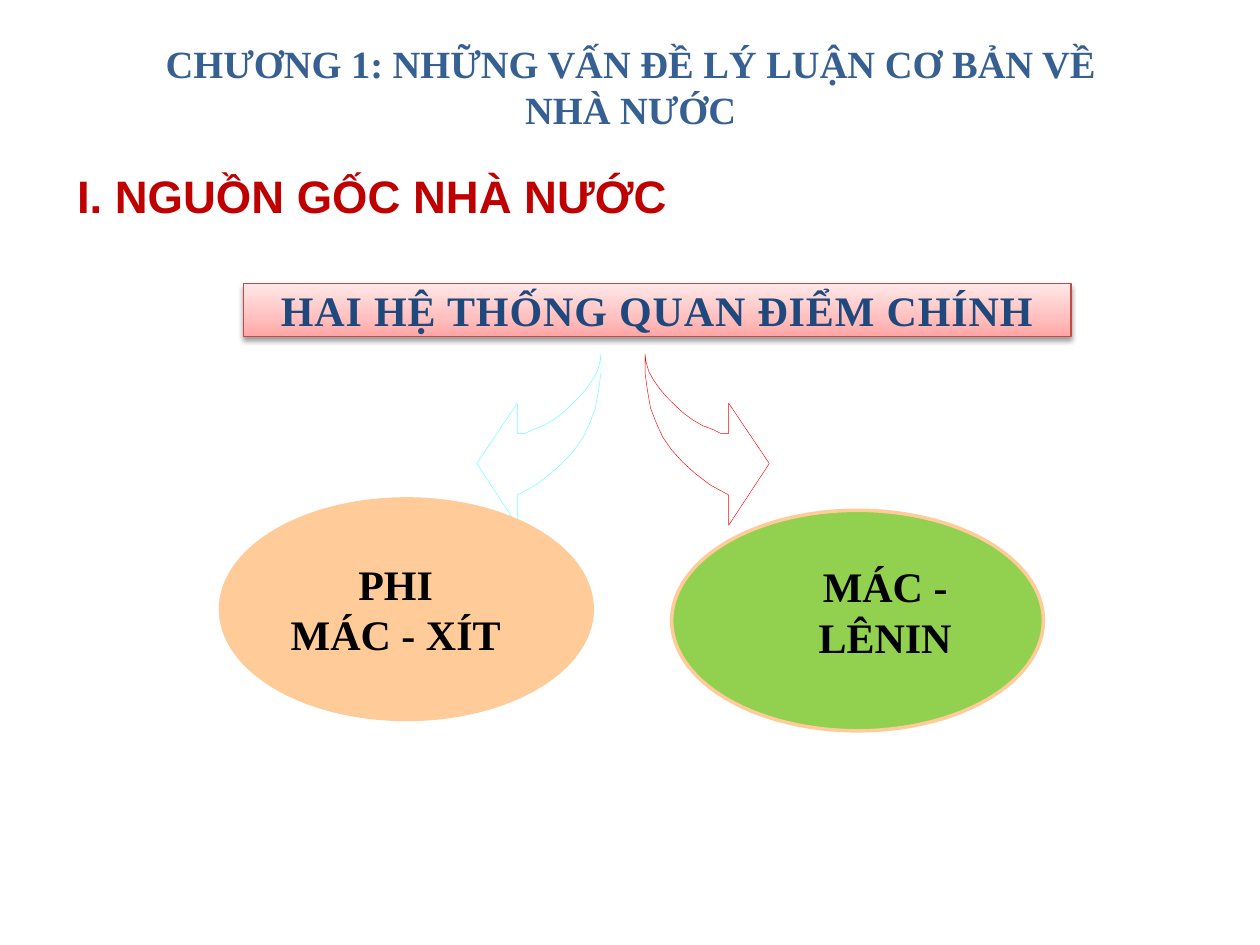
from lxml import etree
from pptx import Presentation
from pptx.dml.color import RGBColor
from pptx.enum import shapes, text
from pptx.oxml import ns
from pptx.util import Pt

COLORS = {
    "title": "376092", "heading": "C00000", "banner_text": "1F497D",
    "banner_line": "BF4C48", "black": "000000", "peach": "FFCC99",
    "green": "92D050", "cyan": "66FFFF", "red": "FF0000",
}
BANNER_STOPS = [(0, "FFA6A5"), (35, "FFC0BF"), (100, "FFE7E7")]
SERIF = "Times New Roman"

# Curved arrow outline, as offsets from its tail
ARROW_OUTLINE = [
    (0, 0), (0, 10.8), (1.4, 20.9), (3.2, 31), (6.5, 39.6), (10.1, 47.5),
    (15.1, 54.7), (21.6, 61.9), (28.8, 68.4), (37.4, 74.9), (47.8, 80.6),
    (47.8, 97.9), (71, 62.6), (47.8, 28.1), (47.8, 45.4), (43.2, 45.4),
    (38.9, 43.2), (33.1, 41), (28.1, 38.2), (23, 34.6), (18, 30.2),
    (13, 25.2), (8.6, 20.2), (5, 15.1), (2.2, 10.1), (0.7, 5),
]


def rgb(name):
    return RGBColor.from_string(COLORS[name])


def write_text(shape, lines, size, color, font=SERIF, anchor=text.MSO_ANCHOR.TOP,
               margins=(7.2, 3.6, 7.2, 3.6), grow=True, spacing=0):
    """Fill the shape with bold centred lines; margins run left, top, right, bottom."""
    frame = shape.text_frame
    frame.word_wrap = True
    frame.vertical_anchor = anchor
    frame.auto_size = (text.MSO_AUTO_SIZE.SHAPE_TO_FIT_TEXT if grow
                       else text.MSO_AUTO_SIZE.NONE)
    (frame.margin_left, frame.margin_top,
     frame.margin_right, frame.margin_bottom) = map(Pt, margins)
    for index, line in enumerate(lines):
        paragraph = frame.paragraphs[0] if index == 0 else frame.add_paragraph()
        paragraph.alignment = text.PP_ALIGN.CENTER
        run = paragraph.add_run()
        run.text = line
        run.font.name = font
        run.font.size = Pt(size)
        run.font.bold = True
        run.font.color.rgb = rgb(color)
        if spacing:
            run.font._element.set("spc", str(round(spacing * 100)))


def add_label(slide, box, lines, size, color, **style):
    label = slide.shapes.add_textbox(*map(Pt, box))
    write_text(label, lines, size, color, **style)


def add_preset(slide, kind, box, line, width):
    preset = slide.shapes.add_shape(kind, *map(Pt, box))
    preset.shadow.inherit = False
    preset.line.color.rgb = rgb(line)
    preset.line.width = Pt(width)
    return preset


def add_banner(slide, box, title):
    banner = add_preset(slide, shapes.MSO_SHAPE.RECTANGLE, box, "banner_line", 0.75)
    banner.fill.gradient()
    banner.fill.gradient_angle = 90
    properties = banner._element.spPr
    stops = properties.find(".//" + ns.qn("a:gsLst"))
    for stop in list(stops):
        stops.remove(stop)
    for position, color in BANNER_STOPS:
        stop = etree.SubElement(stops, ns.qn("a:gs"), pos=str(position * 1000))
        etree.SubElement(stop, ns.qn("a:srgbClr"), val=color)
    shadow = etree.SubElement(
        properties.find(ns.qn("a:effectLst")), ns.qn("a:outerShdw"),
        blurRad=str(Pt(3.1)), dist=str(Pt(1.6)), dir="5400000", rotWithShape="0")
    shade = etree.SubElement(shadow, ns.qn("a:srgbClr"), val=COLORS["black"])
    etree.SubElement(shade, ns.qn("a:alpha"), val="38000")
    write_text(banner, [title], 24, "banner_text", margins=(0, 0.7, 0, 0), spacing=0.5)


def add_curved_arrow(slide, tail_x, tail_y, direction, color):
    """Draw the arrow to the right (direction 1) or mirrored to the left (-1)."""
    points = [(Pt(tail_x + direction * x), Pt(tail_y + y)) for x, y in ARROW_OUTLINE]
    builder = slide.shapes.build_freeform(*points[0])
    builder.add_line_segments(points[1:], close=True)
    arrow = builder.convert_to_shape()
    arrow.shadow.inherit = False
    arrow.fill.background()
    arrow.line.color.rgb = rgb(color)
    arrow.line.width = Pt(0.25)


def add_ellipse(slide, left, top, fill):
    ellipse = add_preset(slide, shapes.MSO_SHAPE.OVAL, (left, top, 212.4, 126), "peach", 2)
    ellipse.fill.solid()
    ellipse.fill.fore_color.rgb = rgb(fill)


def main():
    deck = Presentation()
    deck.slide_width, deck.slide_height = Pt(720), Pt(540)
    slide = deck.slides.add_slide(deck.slide_layouts[6])

    add_label(slide, (72, 0, 576.7, 82.8),
              ["CHƯƠNG 1: NHỮNG VẤN ĐỀ LÝ LUẬN CƠ BẢN VỀ NHÀ NƯỚC"], 22, "title",
              anchor=text.MSO_ANCHOR.BOTTOM, margins=(7.2,) * 4, grow=False)
    add_label(slide, (24.5, 95, 376.6, 32.4), ["I. NGUỒN GỐC NHÀ NƯỚC"], 26, "heading",
              font="Arial", anchor=text.MSO_ANCHOR.BOTTOM, margins=(0, 0.7, 0, 0))
    add_banner(slide, (139, 162, 473, 30.2), "HAI HỆ THỐNG QUAN ĐIỂM CHÍNH")

    add_curved_arrow(slide, 343.4, 202.3, -1, "cyan")
    add_curved_arrow(slide, 368.6, 202.3, 1, "red")

    add_ellipse(slide, 126, 285.1, "peach")
    add_label(slide, (154.1, 315.4, 144, 65.5), ["PHI", "MÁC - XÍT"], 24, "black")
    add_ellipse(slide, 383.8, 291.6, "green")
    add_label(slide, (429.1, 316.8, 153.4, 65.5), ["MÁC - LÊNIN"], 24, "black")

    deck.save("out.pptx")


if __name__ == "__main__":
    main()
